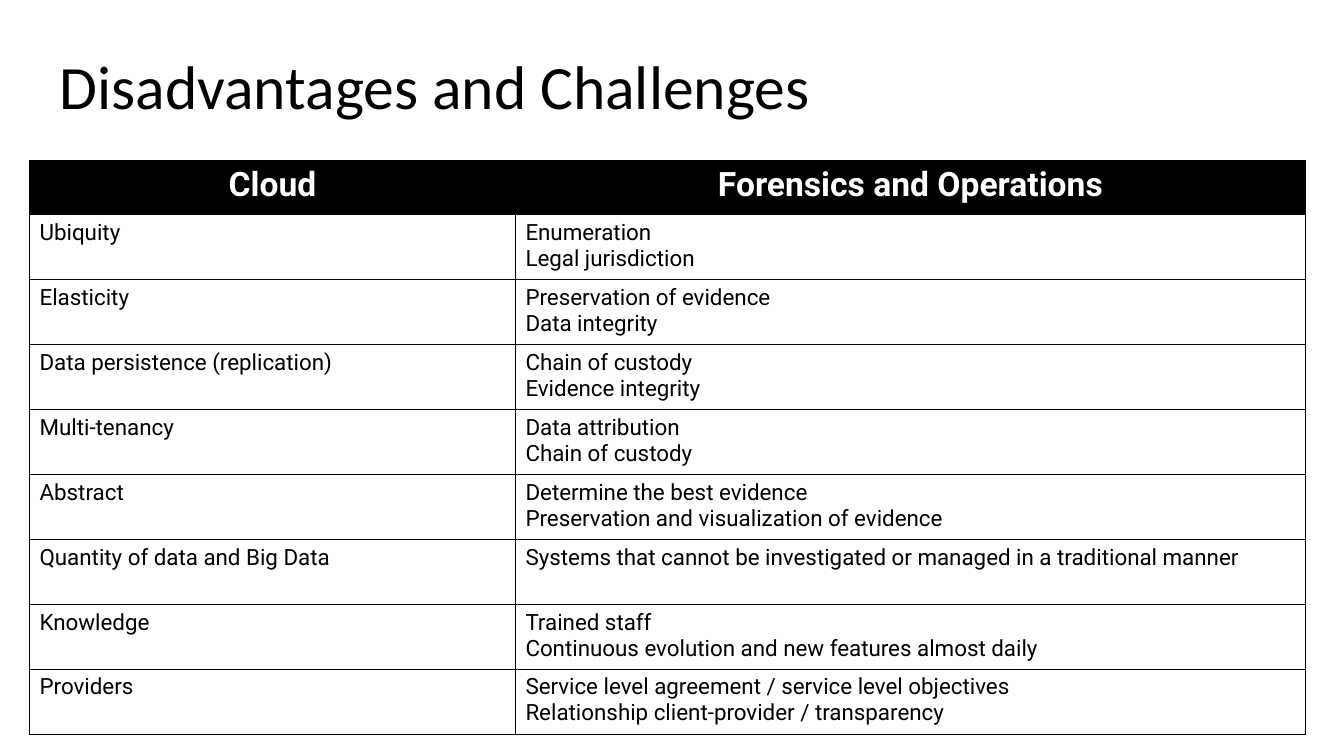
from dataclasses import dataclass

from lxml import etree
from pptx import Presentation
from pptx import util as u
from pptx.dml.color import RGBColor
from pptx.enum import text as t
from pptx.oxml import ns


@dataclass(frozen=True)
class Theme:
    ink: str = "000000"
    paper: str = "FFFFFF"
    title_font: str = "Calibri"
    font: str = "Roboto"
    title_size: float = 44
    head_size: float = 24
    body_size: float = 16
    edge: float = 0.75
    rule: float = 1


@dataclass(frozen=True)
class Topic:
    cloud: str
    issues: tuple[str, ...]


@dataclass(frozen=True)
class Style:
    size: float
    ink: str
    fill: str
    bold: bool
    align: t.PP_ALIGN


THEME = Theme()
HEAD = Style(THEME.head_size, THEME.paper, THEME.ink, True, t.PP_ALIGN.CENTER)
BODY = Style(THEME.body_size, THEME.ink, THEME.paper, False, t.PP_ALIGN.LEFT)

TITLE = "Disadvantages and Challenges"
TOPICS = (
    Topic("Cloud", ("Forensics and Operations",)),
    Topic("Ubiquity", ("Enumeration", "Legal jurisdiction")),
    Topic("Elasticity", ("Preservation of evidence", "Data integrity")),
    Topic("Data persistence (replication)", ("Chain of custody", "Evidence integrity")),
    Topic("Multi-tenancy", ("Data attribution", "Chain of custody")),
    Topic("Abstract", ("Determine the best evidence",
                       "Preservation and visualization of evidence")),
    Topic("Quantity of data and Big Data",
          ("Systems that cannot be investigated or managed in a traditional manner",)),
    Topic("Knowledge", ("Trained staff",
                        "Continuous evolution and new features almost daily")),
    Topic("Providers", ("Service level agreement / service level objectives",
                        "Relationship client-provider / transparency")),
)
COLS = (347.1, 564.4)
HEAD_H = 38.6
ROW_H = 46.4


def add_run(para, words: str, font: str, size: float, ink: str, bold: bool) -> None:
    run = para.add_run()
    run.text = words
    run.font.name = font
    run.font.size = u.Pt(size)
    run.font.bold = bold
    run.font.color.rgb = RGBColor.from_string(ink)


def add_title(slide) -> None:
    title = slide.shapes.title
    title.left, title.top = u.Pt(35.3), u.Pt(11.5)
    title.width, title.height = u.Pt(828), u.Pt(104.4)
    frame = title.text_frame
    frame.word_wrap = True
    frame.auto_size = t.MSO_AUTO_SIZE.NONE
    frame.vertical_anchor = t.MSO_ANCHOR.MIDDLE
    para = frame.paragraphs[0]
    para.alignment = t.PP_ALIGN.LEFT
    para.line_spacing = 0.9
    add_run(para, TITLE, THEME.title_font, THEME.title_size, THEME.ink, False)


def add_edges(cell, row: int, col: int) -> None:
    widths = {
        "a:lnL": THEME.edge if col == 0 else THEME.rule,
        "a:lnR": THEME.edge if col == len(COLS) - 1 else THEME.rule,
        "a:lnT": THEME.edge if row == 0 else THEME.rule,
        "a:lnB": THEME.rule,
    }
    props = cell._tc.get_or_add_tcPr()
    for tag, width in widths.items():
        line = etree.SubElement(props, ns.qn(tag), w=str(u.Pt(width)))
        fill = etree.SubElement(line, ns.qn("a:solidFill"))
        etree.SubElement(fill, ns.qn("a:srgbClr"), val=THEME.ink)


def fill_cell(cell, lines: tuple[str, ...], style: Style) -> None:
    cell.fill.solid()
    cell.fill.fore_color.rgb = RGBColor.from_string(style.fill)
    cell.margin_left = cell.margin_right = u.Pt(7.2)
    cell.margin_top = cell.margin_bottom = u.Pt(3.6)
    frame = cell.text_frame
    for i, words in enumerate(lines):
        para = frame.add_paragraph() if i else frame.paragraphs[0]
        para.alignment = style.align
        add_run(para, words, THEME.font, style.size, style.ink, style.bold)


def add_grid(slide) -> None:
    high = HEAD_H + ROW_H * (len(TOPICS) - 1)
    grid = slide.shapes.add_table(len(TOPICS), len(COLS), u.Pt(21.1), u.Pt(114.8),
                                  u.Pt(sum(COLS)), u.Pt(high)).table
    grid.horz_banding = False
    for col, width in enumerate(COLS):
        grid.columns[col].width = u.Pt(width)
    for row, topic in enumerate(TOPICS):
        grid.rows[row].height = u.Pt(ROW_H if row else HEAD_H)
        for col, lines in enumerate(((topic.cloud,), topic.issues)):
            cell = grid.cell(row, col)
            add_edges(cell, row, col)
            fill_cell(cell, lines, BODY if row else HEAD)


def main() -> None:
    deck = Presentation()
    deck.slide_width, deck.slide_height = u.Pt(960), u.Pt(540)
    slide = deck.slides.add_slide(deck.slide_layouts[5])
    add_title(slide)
    add_grid(slide)
    deck.save("out.pptx")


if __name__ == "__main__":
    main()
